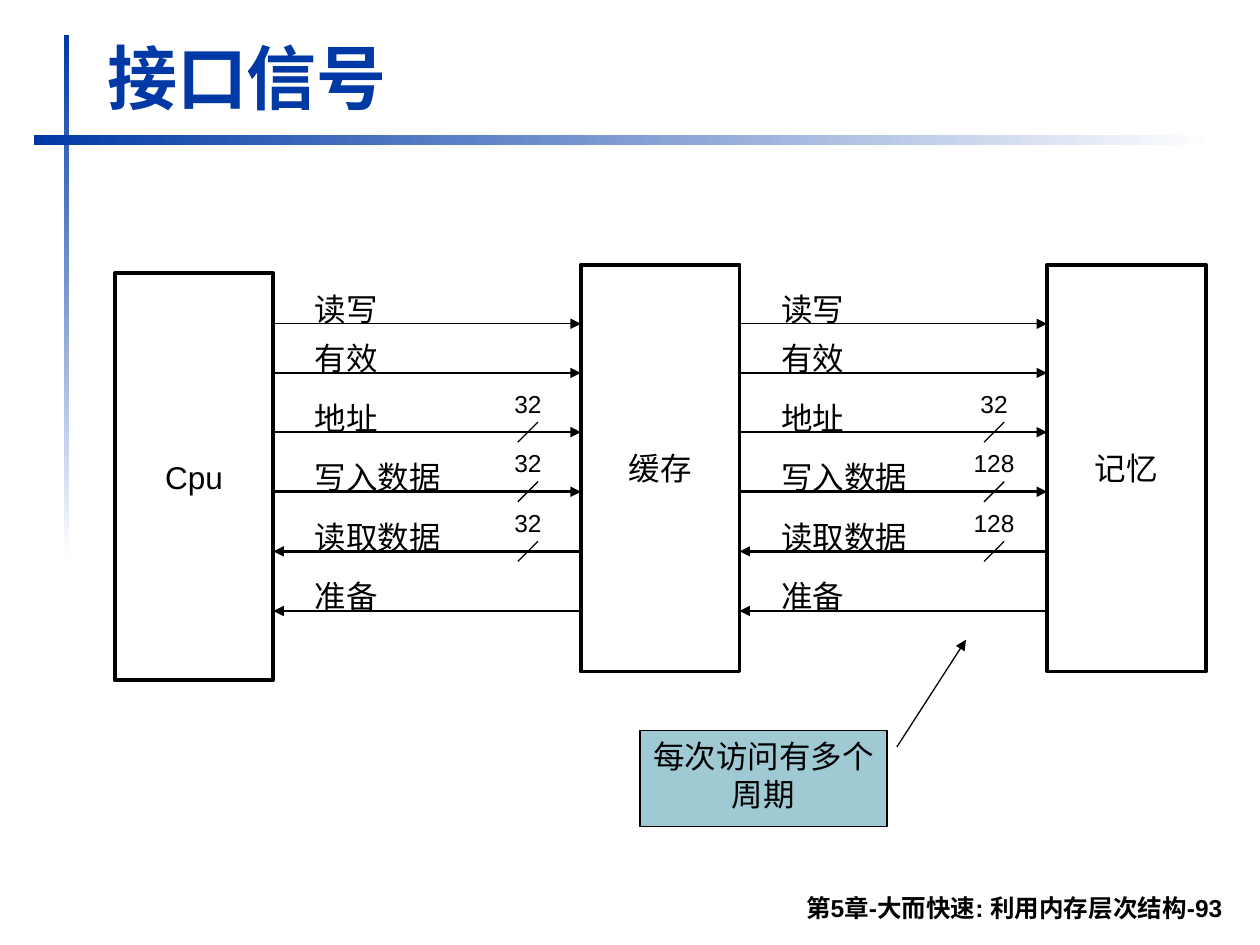
from dataclasses import dataclass

from lxml.etree import SubElement
from pptx import Presentation
from pptx.dml.color import RGBColor
from pptx.enum.shapes import MSO_CONNECTOR, MSO_SHAPE
from pptx.enum.text import MSO_ANCHOR, MSO_AUTO_SIZE, PP_ALIGN
from pptx.oxml.ns import qn
from pptx.util import Inches, Pt


@dataclass(frozen=True)
class Theme:
    font: str = "Arial"
    blue: RGBColor = RGBColor.from_string("0039A6")
    teal: RGBColor = RGBColor.from_string("9FCAD3")
    black: RGBColor = RGBColor.from_string("000000")
    white: RGBColor = RGBColor.from_string("FFFFFF")
    title: int = 40
    body: int = 18
    small: int = 14
    thin: float = 0.75
    bus: float = 1.5
    frame: float = 2.25


THEME = Theme()
COLS, ROWS = 100, 75
BLOCK_LEFT, BLOCK_W, BLOCK_H, PITCH = 9.1, 12.6, 32.3, 37
BLOCKS = [("Cpu", 21.7), ("缓存", 21), ("记忆", 21)]
BUS_TOP, BUS_STEP = 34.3, 4.73
SIGNALS = [
    ("读写", 25.7, "tailEnd", None),
    ("有效", 29.6, "tailEnd", None),
    ("地址", BUS_TOP, "tailEnd", ("32", "32")),
    ("写入数据", BUS_TOP + BUS_STEP, "tailEnd", ("32", "128")),
    ("读取数据", BUS_TOP + 2 * BUS_STEP, "headEnd", ("32", "128")),
    ("准备", BUS_TOP + 3 * BUS_STEP, "headEnd", None),
]


def write(shape, text, size=THEME.body, color=THEME.black, bold=False,
          align=PP_ALIGN.LEFT, anchor=MSO_ANCHOR.TOP, wrap=True, grow=False):
    tf = shape.text_frame
    tf.word_wrap = wrap
    tf.auto_size = MSO_AUTO_SIZE.SHAPE_TO_FIT_TEXT if grow else MSO_AUTO_SIZE.NONE
    tf.vertical_anchor = anchor
    p = tf.paragraphs[0]
    p.alignment = align
    r = p.add_run()
    r.text = text
    r.font.name = THEME.font
    r.font.size = Pt(size)
    r.font.bold = bold
    r.font.color.rgb = color


def add_arrowhead(shape, end):
    SubElement(shape.line._get_or_add_ln(), qn(f"a:{end}"), type="triangle")


class Board:
    def __init__(self, prs, theme):
        self.theme = theme
        self.cell_w = prs.slide_width / COLS
        self.cell_h = prs.slide_height / ROWS
        self.slide = prs.slides.add_slide(prs.slide_layouts[5])

    def place(self, x, y, w, h):
        return (round(x * self.cell_w), round(y * self.cell_h),
                round(w * self.cell_w), round(h * self.cell_h))

    def title(self, text, *box):
        sp = self.slide.shapes.title
        sp.left, sp.top, sp.width, sp.height = self.place(*box)
        write(sp, text, size=self.theme.title, color=self.theme.blue, bold=True,
              anchor=MSO_ANCHOR.BOTTOM, grow=True)

    def text(self, text, *box, **style):
        write(self.slide.shapes.add_textbox(*self.place(*box)), text, **style)

    def shape(self, kind, *box, fill=None, line=None):
        sp = self.slide.shapes.add_shape(kind, *self.place(*box))
        sp.shadow.inherit = False
        if fill is None:
            sp.fill.background()
        else:
            sp.fill.solid()
            sp.fill.fore_color.rgb = fill
        if line is None:
            sp.line.fill.background()
        else:
            sp.line.color.rgb = self.theme.black
            sp.line.width = Pt(line)
        return sp

    def fading_bar(self, *box, angle):
        sp = self.shape(MSO_SHAPE.RECTANGLE, *box)
        sp.fill.gradient()
        sp.fill.gradient_angle = angle
        colors = (self.theme.blue, self.theme.white)
        for i, (stop, color) in enumerate(zip(sp.fill.gradient_stops, colors)):
            stop.position = i
            stop.color.rgb = color

    def block(self, text, *box):
        sp = self.shape(MSO_SHAPE.RECTANGLE, *box, line=self.theme.frame)
        write(sp, text, align=PP_ALIGN.CENTER, anchor=MSO_ANCHOR.MIDDLE, wrap=False)

    def line(self, x1, y1, x2, y2, width, arrow=None):
        ends = self.place(x1, y1, x2, y2)
        cn = self.slide.shapes.add_connector(MSO_CONNECTOR.STRAIGHT, *ends)
        cn.line.color.rgb = self.theme.black
        cn.line.width = Pt(width)
        if arrow:
            add_arrowhead(cn, arrow)
        SubElement(cn._element.spPr, qn("a:effectLst"))

    def signal(self, label, left, y, arrow, bits):
        width = self.theme.bus if bits else self.theme.thin
        self.line(left, y, left + PITCH - BLOCK_W, y, width, arrow)
        self.text(label, left + 2.3, y - 3.15, 14.5, 4, grow=True)
        if bits:
            mid = left + 20.2
            self.line(mid - 0.8, y + 0.8, mid + 0.8, y - 0.8, self.theme.thin)
            self.text(bits, mid - 3.5, y - 3.95, 7, 3.3, size=self.theme.small,
                      align=PP_ALIGN.CENTER, grow=True)

    def callout(self, text, *box, pointer):
        sp = self.shape(MSO_SHAPE.LINE_CALLOUT_1, *box,
                        fill=self.theme.teal, line=self.theme.thin)
        for i, value in enumerate(pointer):
            sp.adjustments[i] = value
        add_arrowhead(sp, "tailEnd")
        write(sp, text, align=PP_ALIGN.CENTER)


def main():
    prs = Presentation()
    prs.slide_width, prs.slide_height = Inches(10), Inches(7.5)
    board = Board(prs, THEME)

    board.fading_bar(5.1, 2.8, 0.4, 41.7, angle=270)
    board.fading_bar(2.7, 10.7, 93.7, 0.8, angle=0)
    board.title("接口信号", 7.5, 2.2, 90.3, 7.7)
    board.text("第5章-大而快速: 利用内存层次结构-93", 18.5, 69.8, 79.5, 3.9,
               size=THEME.small, bold=True, align=PP_ALIGN.RIGHT,
               anchor=MSO_ANCHOR.BOTTOM)

    for i, (name, top) in enumerate(BLOCKS):
        board.block(name, BLOCK_LEFT + i * PITCH, top, BLOCK_W, BLOCK_H)

    for link in range(len(BLOCKS) - 1):
        left = BLOCK_LEFT + BLOCK_W + link * PITCH
        for label, y, arrow, bits in SIGNALS:
            board.signal(label, left, y, arrow, bits and bits[link])

    board.callout("每次访问有多个周期", 50.8, 58, 19.6, 7.6,
                  pointer=(0.17, 1.04, -0.95, 1.32))
    prs.save("out.pptx")


if __name__ == "__main__":
    main()
